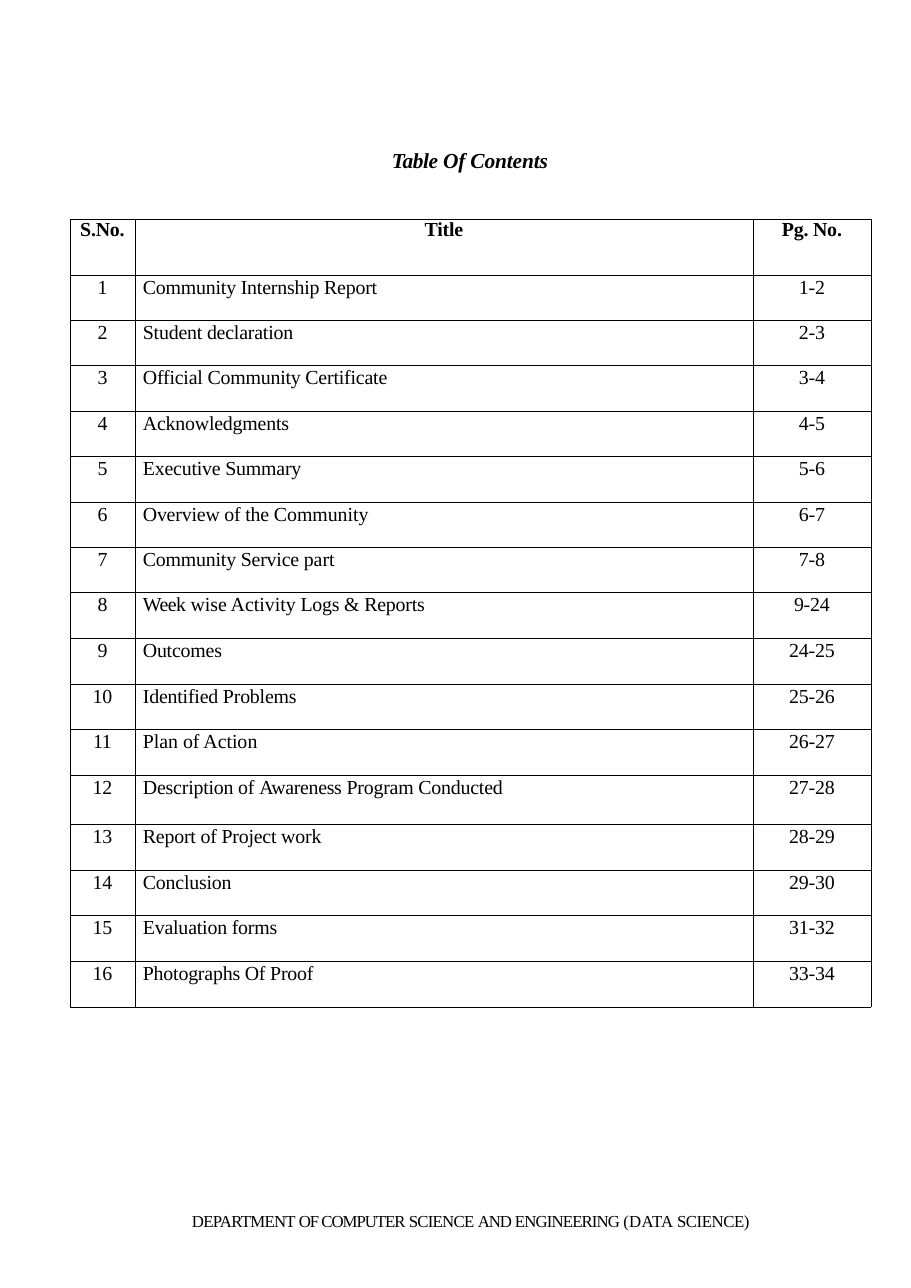
from lxml import etree
from pptx import Presentation
from pptx import util as u
from pptx.dml.color import RGBColor
from pptx.enum import text
from pptx.oxml import ns

BLACK = RGBColor(0x00, 0x00, 0x00)
FONT = "Times New Roman"
PX = 914400 / 110

HEADINGS = ("S.No.", "Title", "Pg. No.")
COLUMN_WIDTHS = (65, 618, 118)
HEADER_HEIGHT = 56
CONTENTS = [
    ("Community Internship Report", "1-2", 45),
    ("Student declaration", "2-3", 45),
    ("Official Community Certificate", "3-4", 46),
    ("Acknowledgments", "4-5", 45),
    ("Executive Summary", "5-6", 46),
    ([("Overview of the ", -10), ("Community", 0)], "6-7", 45),
    ([("Community Service ", -10), ("part", 0)], "7-8", 45),
    ([("Week ", -30), ("wise Activity ", 0), ("Logs & Reports", -10)], "9-24", 46),
    ("Outcomes", "24-25", 46),
    ("Identified Problems", "25-26", 45),
    ([("Plan of Acti", 0), ("o", 10), ("n", 0)], "26-27", 46),
    ([("Description of ", -10), ("Awareness ", -20), ("Program Conducted", -10)], "27-28", 49),
    ("Report of Project work", "28-29", 46),
    ("Conclusion", "29-30", 45),
    ("Evaluation forms", "31-32", 46),
    ("Photographs Of Proof", "33-34", 46),
]
TITLE = [("Table ", -30), ("Of Contents", -10)]
FOOTER = [("DEPARTMENT ", -50), ("OF COMPUTER ", -70), ("SCIENCE ", -50), ("AND ", -80),
          ("ENGINEERING ", -60), ("(DATA ", 10), ("SCIENCE)", -30)]


def px(length):
    """Turn a length in px into EMU."""
    return u.Emu(round(length * PX))


def write_runs(paragraph, content, size, bold=False, italic=False):
    """Write a string, or pairs of text and letter spacing, into a paragraph."""
    pairs = [(content, -10)] if isinstance(content, str) else content
    for words, spacing in pairs:
        run = paragraph.add_run()
        run.text = words
        run.font.name = FONT
        run.font.size = u.Pt(size)
        run.font.bold = bold
        run.font.italic = italic
        run.font.color.rgb = BLACK
        run.font._element.set("spc", str(spacing))


def add_line_of_text(slide, box, content, size, line_spacing=None, bold=False, italic=False):
    """Add a text box without insets that holds one line."""
    frame = slide.shapes.add_textbox(*map(px, box)).text_frame
    frame.word_wrap = True
    frame.margin_left = frame.margin_right = frame.margin_top = frame.margin_bottom = 0
    paragraph = frame.paragraphs[0]
    paragraph.line_spacing = line_spacing
    write_runs(paragraph, content, size, bold, italic)


def add_borders(cell):
    """Draw a thin black line on all four sides of a cell."""
    properties = cell._tc.get_or_add_tcPr()
    for side in ("a:lnL", "a:lnR", "a:lnT", "a:lnB"):
        line = etree.SubElement(properties, ns.qn(side), w=str(u.Pt(0.5)))
        fill = etree.SubElement(line, ns.qn("a:solidFill"))
        etree.SubElement(fill, ns.qn("a:srgbClr"), val=str(BLACK))


def fill_cell(cell, content, header, centred):
    """Write and format one table cell."""
    cell.margin_left = 0 if centred else px(8)
    cell.margin_right = cell.margin_top = cell.margin_bottom = 0
    add_borders(cell)
    cell.fill.background()
    paragraph = cell.text_frame.paragraphs[0]
    paragraph.alignment = text.PP_ALIGN.CENTER if centred else text.PP_ALIGN.LEFT
    if not header:
        paragraph.line_spacing = u.Pt(15.4)
    write_runs(paragraph, content, 13, bold=header)


def add_contents_table(slide, left, top):
    """Add the numbered table of contents."""
    heights = [HEADER_HEIGHT] + [height for _, _, height in CONTENTS]
    box = (left, top, sum(COLUMN_WIDTHS), sum(heights))
    table = slide.shapes.add_table(len(heights), len(HEADINGS), *map(px, box)).table
    table.first_row = table.horz_banding = False
    for column, width in zip(table.columns, COLUMN_WIDTHS):
        column.width = px(width)
    for row, height in zip(table.rows, heights):
        row.height = px(height)
    spacings = {1: 0, 11: -30}
    lines = [HEADINGS]
    for number, (title, pages, _) in enumerate(CONTENTS, 1):
        spacing = 0 if number < 10 else spacings.get(number, -10)
        lines.append(([(str(number), spacing)], title, pages))
    for row_index, line in enumerate(lines):
        header = row_index == 0
        for column_index, content in enumerate(line):
            cell = table.cell(row_index, column_index)
            fill_cell(cell, content, header, header or column_index != 1)


def build_contents_page(presentation):
    """Add the contents page with its title, table and footer."""
    slide = presentation.slides.add_slide(presentation.slide_layouts[6])
    add_line_of_text(slide, (392, 147, 163, 28), TITLE, 14, bold=True, italic=True)
    add_line_of_text(slide, (192, 1211, 571, 22), FOOTER, 11, u.Pt(13))
    add_contents_table(slide, 70, 219)


def main():
    """Build and save the presentation."""
    presentation = Presentation()
    presentation.slide_width = px(911)
    presentation.slide_height = px(1288)
    build_contents_page(presentation)
    presentation.save("out.pptx")


if __name__ == "__main__":
    main()
